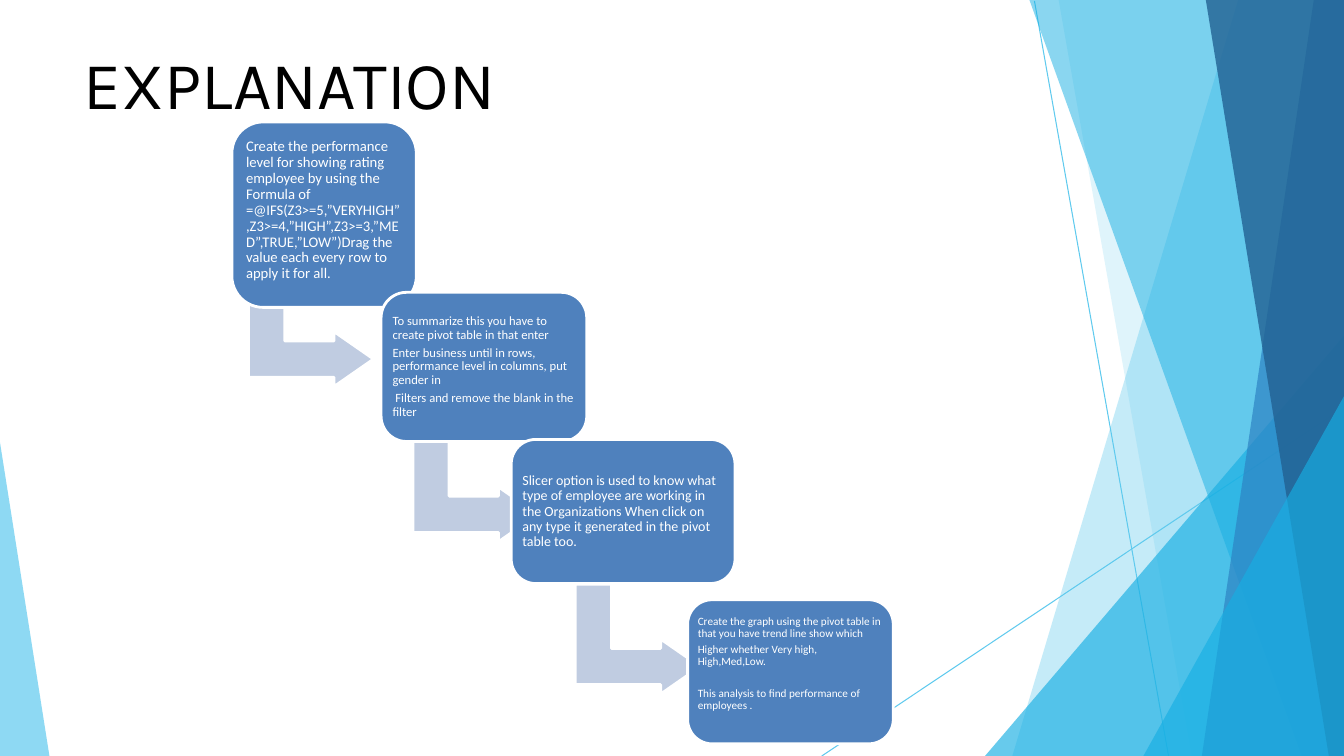
import pptx
import pptx.dml.color
import pptx.enum.shapes
import pptx.enum.text
import pptx.oxml.ns
import pptx.util
from lxml import etree

PX = 9144  # EMU per px, at 100 px to the inch
WIDTH, HEIGHT = 1333, 750
WHITE, STEP_BLUE, ARROW_BLUE = "FFFFFF", "4F81BD", "C0CCE1"
SKY, CYAN, BLUE, NAVY = "5FCAEE", "17AFE3", "2D83C3", "226192"

RAYS = [((1026, 1), (1159, HEIGHT)), ((WIDTH, 404), (815, HEIGHT))]

# Right-edge facets: top left x, top y, bottom left x, colour, opacity in percent
FACETS = [
    (1228, 0, 1004, SKY, 36),
    (1050, 0, 1182, SKY, 20),
    (WIDTH, 333, 977, CYAN, 65),
    (1021, 0, 1291, CYAN, 50),
    (1303, 0, 1192, BLUE, 70),
    (1196, 0, 1318, NAVY, 80),
    (WIDTH, 393, 1134, CYAN, 65),
]

# Left, top, width, height, inset, extra bottom inset, text size,
# paragraphs as (space before in points, text)
STEPS = [
    (230, 121, 183, 184, 5, 8, 10.5, [
        (0, "Create the performance level for showing rating employee by using "
            "the Formula of =@IFS(Z3>=5,”VERYHIGH”,Z3>=4,”HIGH”,Z3>=3,”MED”,"
            "TRUE,”LOW”)Drag the value each every row to apply it for all."),
    ]),
    (378, 290, 204, 148, 4, 0, 9, [
        (0, "To summarize this you have to create pivot table in that enter"),
        (3.1, "Enter business until in rows, performance level in columns, "
              "put gender in"),
        (3.1, " Filters and remove the blank in the filter"),
    ]),
    (507, 436, 222, 143, 4, 0, 10, [
        (0, "Slicer option is used to know what type of employee are working in "
            "the Organizations When click on any type it generated in the pivot "
            "table too."),
    ]),
    (682, 595, 204, 143, 3, 16, 8, [
        (0, "Create the graph using the pivot table in that you have trend line "
            "show which"),
        (2.8, "Higher whether Very high, High,Med,Low."),
        (14.3, "This analysis to find performance of employees ."),
    ]),
]

ARROWS = [(254, 267), (417, 421), (578, 572)]


def px(*lengths):
    return [pptx.util.Emu(length * PX) for length in lengths]


def rgb(value):
    return pptx.dml.color.RGBColor.from_string(value)


def add_ray(page, start, end):
    ray = page.shapes.add_connector(
        pptx.enum.shapes.MSO_CONNECTOR.STRAIGHT, *px(*start, *end))
    ray.line.color.rgb = rgb(SKY)
    ray.line.width = pptx.util.Pt(0.75)
    etree.SubElement(ray.element.spPr, pptx.oxml.ns.qn("a:effectLst"))


def add_facet(page, points, color, opacity):
    builder = page.shapes.build_freeform(*points[0], scale=PX)
    builder.add_line_segments(points[1:], close=True)
    facet = builder.convert_to_shape()
    facet.shadow.inherit = False
    facet.fill.solid()
    facet.fill.fore_color.rgb = rgb(color)
    facet.line.fill.background()
    fill_color = facet.element.spPr.find(".//" + pptx.oxml.ns.qn("a:srgbClr"))
    alpha = etree.SubElement(fill_color, pptx.oxml.ns.qn("a:alpha"))
    alpha.set("val", str(opacity * 1000))


def add_outlined(page, kind, place, color, adjustments):
    shape = page.shapes.add_shape(kind, *px(*place))
    shape.shadow.inherit = False
    shape.fill.solid()
    shape.fill.fore_color.rgb = rgb(color)
    shape.line.color.rgb = rgb(WHITE)
    shape.line.width = pptx.util.Pt(2)
    for index, value in enumerate(adjustments):
        shape.adjustments[index] = value
    return shape


def add_arrow(page, left, top):
    arrow = add_outlined(page, pptx.enum.shapes.MSO_SHAPE.BENT_UP_ARROW,
                         (left, top, 109, 124), ARROW_BLUE, (0.33, 0.25, 0.36))
    arrow.rotation = 90


def set_insets(frame, inset, extra_bottom=0):
    frame.margin_left, frame.margin_top, frame.margin_right = px(*[inset] * 3)
    frame.margin_bottom = px(inset + extra_bottom)[0]


def add_span(para, text, font, size, color):
    span = para.add_run()
    span.text = text
    span.font.name = font
    span.font.size = pptx.util.Pt(size)
    span.font.color.rgb = rgb(color)


def add_step(page, left, top, width, height, inset, extra_bottom, size, paragraphs):
    box = add_outlined(page, pptx.enum.shapes.MSO_SHAPE.ROUNDED_RECTANGLE,
                       (left, top, width, height), STEP_BLUE, (0.17,))
    frame = box.text_frame
    frame.word_wrap = True
    frame.vertical_anchor = pptx.enum.text.MSO_ANCHOR.MIDDLE
    set_insets(frame, inset, extra_bottom)
    for index, (space_before, text) in enumerate(paragraphs):
        para = frame.add_paragraph() if index else frame.paragraphs[0]
        para.alignment = pptx.enum.text.PP_ALIGN.LEFT
        para.line_spacing = 0.9
        para.space_before = pptx.util.Pt(space_before)
        add_span(para, text, "Calibri", size, WHITE)


def place_title(page, text):
    """Format the title and bring it in front of the background."""
    title = page.shapes.title
    title.element.getparent().append(title.element)
    title.left, title.top, title.width, title.height = px(83, 42, 1168, 83)
    frame = title.text_frame
    frame.auto_size = pptx.enum.text.MSO_AUTO_SIZE.NONE
    frame.vertical_anchor = pptx.enum.text.MSO_ANCHOR.TOP
    set_insets(frame, 0)
    para = frame.paragraphs[0]
    para.alignment = pptx.enum.text.PP_ALIGN.LEFT
    add_span(para, text, "Karla", 48, "000000")


def main():
    deck = pptx.Presentation()
    deck.slide_width = pptx.util.Inches(13.33)
    deck.slide_height = pptx.util.Inches(7.5)
    page = deck.slides.add_slide(deck.slide_layouts[5])

    for start, end in RAYS:
        add_ray(page, start, end)
    for top_x, top_y, bottom_x, color, opacity in FACETS:
        points = [(WIDTH, top_y), (top_x, top_y), (bottom_x, HEIGHT), (WIDTH, HEIGHT)]
        if top_x == WIDTH:
            points.pop(1)
        add_facet(page, points, color, opacity)
    add_facet(page, [(0, 439), (0, HEIGHT), (49, HEIGHT)], SKY, 70)

    place_title(page, "EXPLANATION")
    for index, step in enumerate(STEPS):
        if index < len(ARROWS):
            add_arrow(page, *ARROWS[index])
        add_step(page, *step)

    deck.save("out.pptx")


if __name__ == "__main__":
    main()
